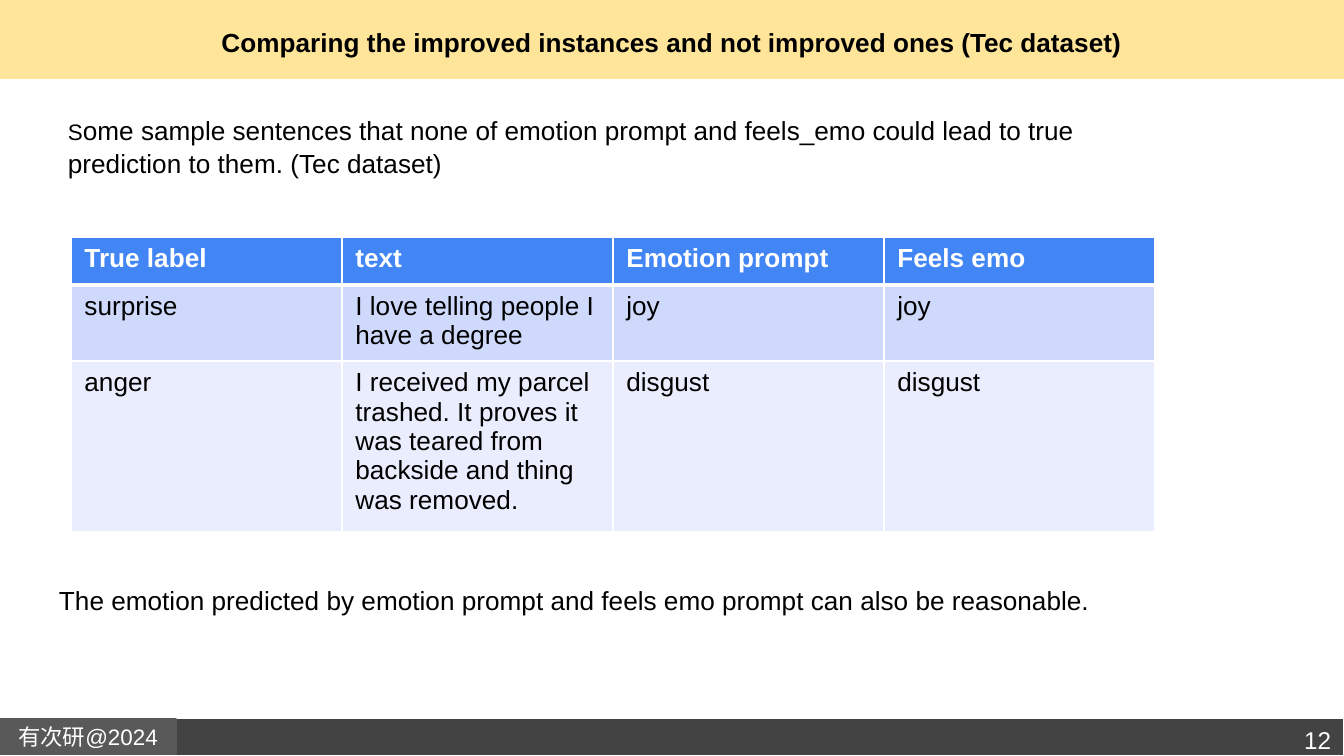
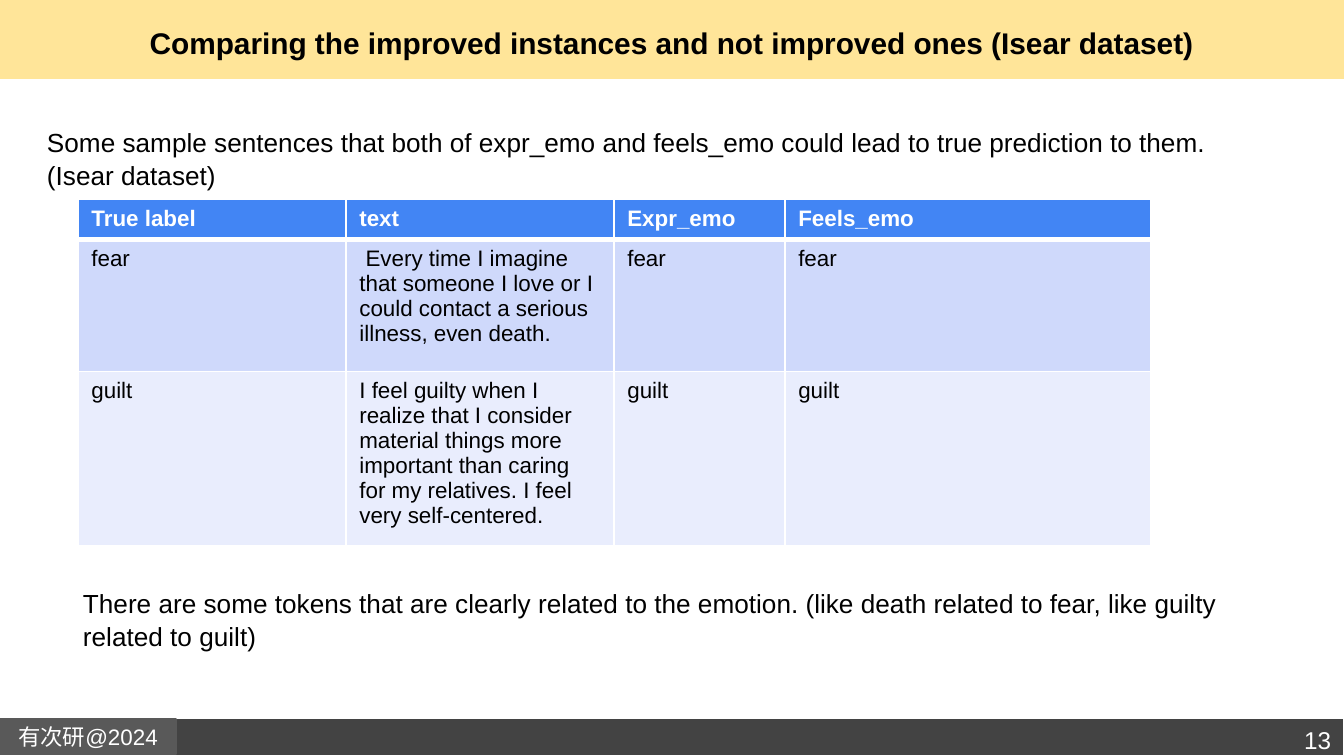
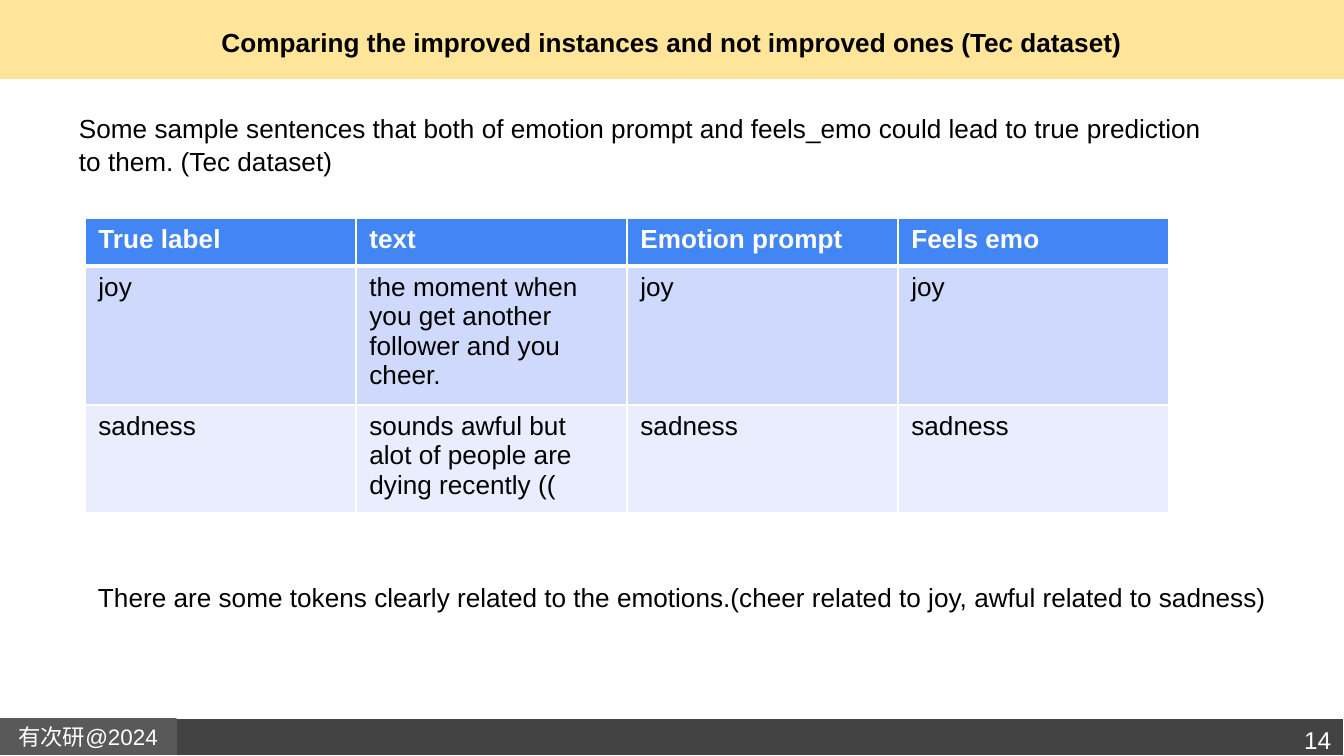
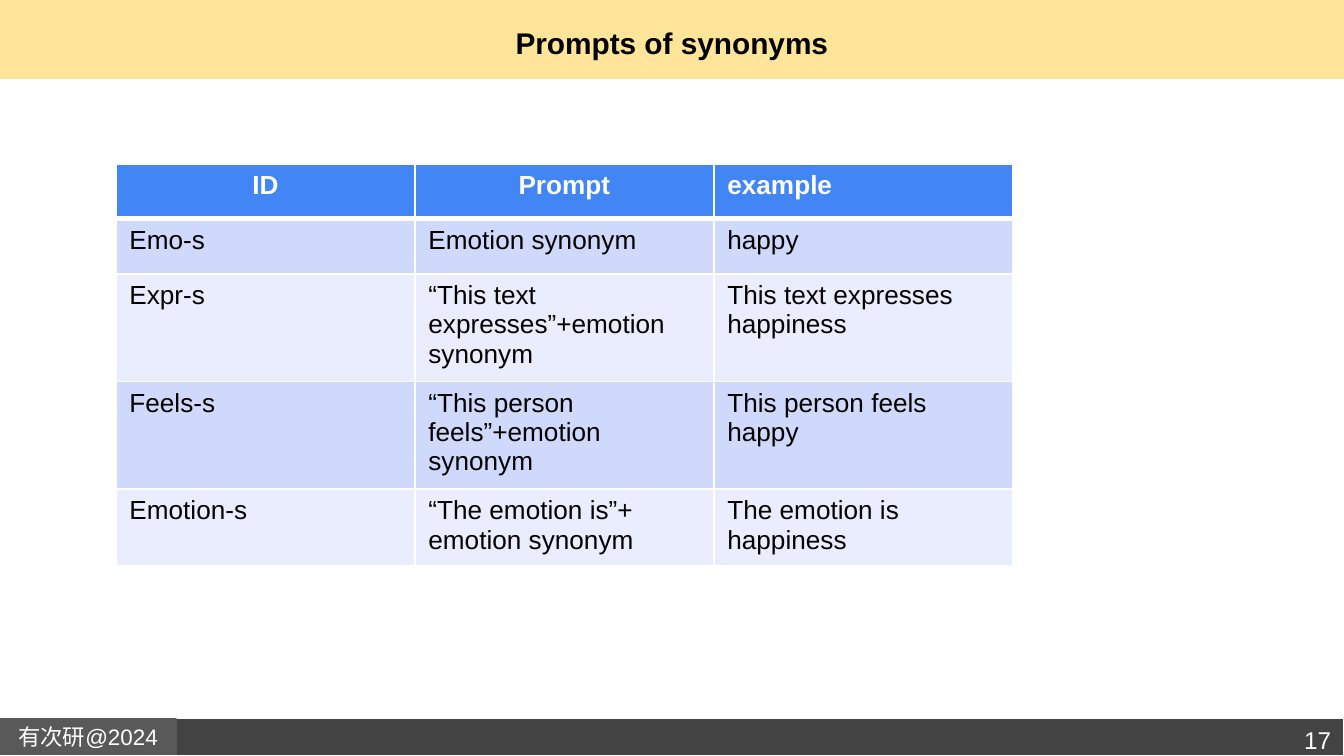
from lxml.etree import SubElement
from pptx import Presentation
from pptx.dml.color import RGBColor
from pptx.enum.shapes import MSO_SHAPE
from pptx.enum.text import MSO_ANCHOR, PP_ALIGN
from pptx.oxml.ns import qn
from pptx.util import Emu, Pt

WIDTH, HEIGHT = 1344, 756
EMU_PER_PX = 9144000 / WIDTH
FONT = "Arial"
COLORS = {
    "title_band": "FFE599",
    "footer_band": "434343",
    "footer_tag": "595959",
    "header": "4285F4",
    "odd_row": "CFD9FB",
    "even_row": "E9EDFD",
    "white": "FFFFFF",
    "black": "000000",
}


def px(length):
    """Convert px to EMU."""
    return Emu(round(length * EMU_PER_PX))


def color(name):
    """Look up a palette colour."""
    return RGBColor.from_string(COLORS[name])


class Deck:
    """Hold the shared style and the current slide."""

    def __init__(self):
        """Start an empty presentation."""
        self.presentation = Presentation()
        self.presentation.slide_width = px(WIDTH)
        self.presentation.slide_height = px(HEIGHT)
        self.slide = None

    def new_slide(self, title, page, title_size=14):
        """Add a slide with its bands, title and page number."""
        blank = self.presentation.slide_layouts[6]
        self.slide = self.presentation.slides.add_slide(blank)
        self.band(0, 0, WIDTH, 79, "title_band")
        self.band(0, 718, WIDTH, 38, "footer_band", "white")
        tag = self.band(0, 719, 176, 35, "footer_tag", "footer_tag")
        self.fill_frame(tag.text_frame, "有次研@2024", 12, "white", align=PP_ALIGN.CENTER,
                        anchor=MSO_ANCHOR.MIDDLE, inset=13)
        self.text(46, 0, 1252, 85, title, title_size, bold=True, align=PP_ALIGN.CENTER,
                  anchor=MSO_ANCHOR.MIDDLE, inset=13)
        self.text(1203, 712, 141, 50, str(page), 13, "white", align=PP_ALIGN.RIGHT, inset=13)

    def band(self, left, top, width, height, fill, line=None):
        """Draw a filled rectangle."""
        band = self.slide.shapes.add_shape(
            MSO_SHAPE.RECTANGLE, px(left), px(top), px(width), px(height))
        band.shadow.inherit = False
        band.fill.solid()
        band.fill.fore_color.rgb = color(fill)
        if line:
            band.line.color.rgb = color(line)
            band.line.width = Pt(0.75)
        else:
            band.line.fill.background()
        return band

    def style(self, run, size, ink="black", bold=False):
        """Format one run."""
        run.font.name = FONT
        run.font.size = Pt(size)
        run.font.bold = bold
        run.font.color.rgb = color(ink)

    def fill_frame(self, frame, words, size, ink="black", bold=False, align=PP_ALIGN.LEFT,
                   anchor=MSO_ANCHOR.TOP, inset=7):
        """Fill a text frame with one formatted paragraph."""
        frame.text = words
        frame.word_wrap = True
        frame.vertical_anchor = anchor
        frame.margin_left = frame.margin_right = px(13)
        frame.margin_top = frame.margin_bottom = px(inset)
        paragraph = frame.paragraphs[0]
        paragraph.alignment = align
        for run in paragraph.runs:
            self.style(run, size, ink, bold)
        return paragraph

    def text(self, left, top, width, height, words, size, ink="black", **layout):
        """Add a text box and return its paragraph."""
        box = self.slide.shapes.add_textbox(px(left), px(top), px(width), px(height))
        return self.fill_frame(box.text_frame, words, size, ink, **layout)

    def note(self, left, top, width, height, words, size=14):
        """Add a remark with slightly open line spacing."""
        paragraph = self.text(left, top, width, height, words, size)
        paragraph.line_spacing = 1.07
        return paragraph

    def borders(self, cell, top, bottom):
        """Give a cell white borders, with top and bottom widths in points."""
        properties = cell._tc.get_or_add_tcPr()
        for side, points in (("L", 1), ("R", 1), ("T", top), ("B", bottom)):
            line = SubElement(properties, qn(f"a:ln{side}"), w=str(Pt(points)))
            SubElement(SubElement(line, qn("a:solidFill")), qn("a:srgbClr"), val=COLORS["white"])

    def table(self, left, top, widths, heights, rows, size=14, centered=()):
        """Add a table with a header row and banded body rows."""
        table = self.slide.shapes.add_table(
            len(rows), len(widths), px(left), px(top), px(sum(widths)), px(sum(heights))).table
        for column, width in zip(table.columns, widths):
            column.width = px(width)
        for index, (row, height, entries) in enumerate(zip(table.rows, heights, rows)):
            row.height = px(height)
            is_header = index == 0
            fill = "header" if is_header else ("even_row", "odd_row")[index % 2]
            for cell, entry in zip(row.cells, entries):
                self.borders(cell, 3 if index == 1 else 1, 3 if is_header else 1)
                cell.fill.solid()
                cell.fill.fore_color.rgb = color(fill)
                cell.text = entry
                paragraph = cell.text_frame.paragraphs[0]
                paragraph.alignment = PP_ALIGN.CENTER if entry in centered else PP_ALIGN.LEFT
                for run in paragraph.runs:
                    self.style(run, size, "white" if is_header else "black", is_header)


def main():
    """Build the four slides."""
    deck = Deck()
    comparison = "Comparing the improved instances and not improved ones ({} dataset)"
    tec_header = ("True label", "text", "Emotion prompt", "Feels emo")
    tec_widths = [271] * 4

    deck.new_slide(comparison.format("Tec"), 12)
    deck.table(71, 237, tec_widths, [48, 72, 160], [
        tec_header,
        ("surprise", "I love telling people I have a degree", "joy", "joy"),
        ("anger", "I received my parcel trashed. It proves it was teared from backside "
                  "and thing was removed.", "disgust", "disgust"),
    ])
    deck.note(46, 575, 1243, 46,
              "The emotion predicted by emotion prompt and feels emo prompt can also be reasonable.")
    intro = deck.note(55, 105, 1146, 109, "S", 12)
    rest = intro.add_run()
    rest.text = ("ome sample sentences that none of emotion prompt and feels_emo could lead to "
                 "true prediction to them. (Tec dataset)")
    deck.style(rest, 14)

    deck.new_slide(comparison.format("Isear"), 13, 16)
    deck.table(78, 199, [268, 268, 171, 366], [38, 132, 172], [
        ("True label", "text", "Expr_emo", "Feels_emo"),
        ("fear", " Every time I imagine that someone I love or I could contact a serious "
                 "illness, even death.", "fear", "fear"),
        ("guilt", "I feel guilty when I realize that I consider material things more important "
                  "than caring for my relatives. I feel very self-centered.", "guilt", "guilt"),
    ], 12)
    deck.note(70, 578, 1204, 77,
              "There are some tokens that are clearly related to the emotion. "
              "(like death related to fear, like guilty related to guilt)")
    deck.note(34, 117, 1219, 77,
              "Some sample sentences that both of expr_emo and feels_emo could lead to true "
              "prediction to them. (Isear dataset)")

    deck.new_slide(comparison.format("Tec"), 14)
    deck.table(85, 218, tec_widths, [48, 131, 102], [
        tec_header,
        ("joy", "the moment when you get another follower and you cheer.", "joy", "joy"),
        ("sadness", "sounds awful but alot of people are dying recently ((", "sadness", "sadness"),
    ])
    deck.note(85, 572, 1200, 46,
              "There are some tokens clearly related to the emotions."
              "(cheer related to joy, awful related to sadness)")
    deck.note(66, 103, 1177, 109,
              "Some sample sentences that both of emotion prompt and feels_emo could lead to true "
              "prediction to them. (Tec dataset)")

    deck.new_slide("Prompts of synonyms", 17, 16)
    deck.table(116, 164, [299] * 3, [55, 55, 101, 101, 72], [
        ("ID", "Prompt", "example"),
        ("Emo-s", "Emotion synonym", "happy"),
        ("Expr-s", "“This text expresses”+emotion synonym", "This text expresses happiness"),
        ("Feels-s", "“This person feels”+emotion synonym", "This person feels happy"),
        ("Emotion-s", "“The emotion is”+ emotion synonym", "The emotion is happiness"),
    ], centered=("ID", "Prompt"))

    deck.presentation.save("out.pptx")


if __name__ == "__main__":
    main()
